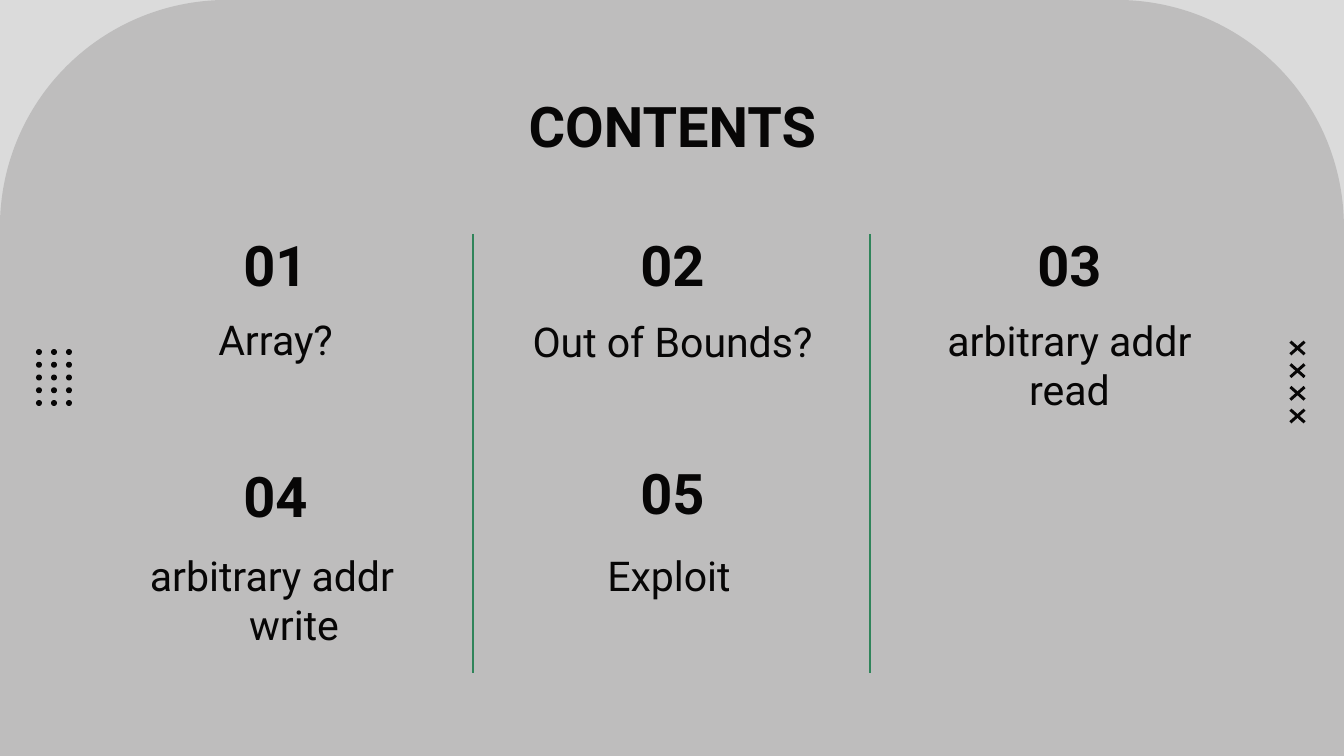
from lxml import etree
from pptx import Presentation
from pptx.dml.color import RGBColor
from pptx.enum.shapes import MSO_CONNECTOR, MSO_SHAPE
from pptx.enum.text import MSO_ANCHOR, PP_ALIGN
from pptx.oxml.ns import qn
from pptx.util import Pt

PX = 914400 / 134.4
WIDTH, HEIGHT = 1344, 756
ROUND_TOP = MSO_SHAPE.ROUND_2_SAME_RECTANGLE
RECTANGLE = MSO_SHAPE.RECTANGLE
OVAL = MSO_SHAPE.OVAL
STRAIGHT = MSO_CONNECTOR.STRAIGHT
CENTER = PP_ALIGN.CENTER
TOP, BOTTOM = MSO_ANCHOR.TOP, MSO_ANCHOR.BOTTOM

FONT = "Roboto"
INK, PANEL, BACKGROUND, GREEN = "070606", "BEBDBD", "DBDBDB", "30845A"

COLUMN_LEFT, COLUMN_WIDTH, COLUMN_PITCH = 106, 339, 397
NUMBER_WIDTH, NUMBER_HEIGHT, TOPIC_HEIGHT = 107, 85, 67
# number, topic, column, number top, topic top, indented
ENTRIES = [
    ("01", "Array?", 0, 226, 310, False),
    ("02", "Out of Bounds?", 1, 226, 312, False),
    ("03", "arbitrary addr read", 2, 226, 360, False),
    ("04", "arbitrary addr write", 0, 457, 595, True),
    ("05", "Exploit", 1, 454, 546, True),
]


def emu(pixels):
    return round(pixels * PX)


def color(hex_string):
    return RGBColor.from_string(hex_string)


def add_filled(slide, kind, left, top, width, height, fill):
    shape = slide.shapes.add_shape(kind, emu(left), emu(top), emu(width), emu(height))
    shape.shadow.inherit = False
    shape.fill.solid()
    shape.fill.fore_color.rgb = color(fill)
    shape.line.fill.background()
    return shape


def add_text(slide, text, left, top, width, height, size, bold=False,
             anchor=BOTTOM, indented=False):
    box = slide.shapes.add_textbox(emu(left), emu(top), emu(width), emu(height))
    frame = box.text_frame
    frame.word_wrap = True
    frame.vertical_anchor = anchor
    frame.margin_left = frame.margin_right = emu(13)
    frame.margin_top = frame.margin_bottom = emu(13)
    paragraph = frame.paragraphs[0]
    paragraph.alignment = CENTER
    if indented:
        properties = paragraph._p.get_or_add_pPr()
        properties.set("marL", str(emu(67)))
        properties.set("indent", str(emu(-44)))
    run = paragraph.add_run()
    run.text = text
    run.font.name = FONT
    run.font.size = Pt(size)
    run.font.bold = bold
    run.font.color.rgb = color(INK)


def add_backdrop(slide):
    slide.background.fill.solid()
    slide.background.fill.fore_color.rgb = color(BACKGROUND)
    panel = add_filled(slide, ROUND_TOP, 0, 0, WIDTH, HEIGHT, PANEL)
    panel.adjustments[0] = 0.3
    panel.adjustments[1] = 0


def add_dots(slide, left, top, width, height, columns=3, rows=5, size=6):
    for column in range(columns):
        for row in range(rows):
            x = left + column * (width - size) / (columns - 1)
            y = top + row * (height - size) / (rows - 1)
            add_filled(slide, OVAL, x, y, size, size, INK)


def add_crosses(slide, left, top, width, height, count=4, stroke=3):
    """Stack crosses whose centres run from the top to the bottom of the box."""
    for index in range(count):
        y = top + index * height / (count - 1) - stroke / 2
        for angle in (41.6, -41.6):
            bar = add_filled(slide, RECTANGLE, left, y, width, stroke, INK)
            bar.rotation = angle


def add_divider(slide, x, top, bottom):
    line = slide.shapes.add_connector(STRAIGHT, emu(x), emu(top), emu(x), emu(bottom))
    line.line.color.rgb = color(GREEN)
    line.line.width = Pt(0.75)
    etree.SubElement(line._element.spPr, qn("a:effectLst"))


def add_entry(slide, number, topic, column, number_top, topic_top, indented):
    left = COLUMN_LEFT + column * COLUMN_PITCH
    number_left = left + (COLUMN_WIDTH - NUMBER_WIDTH) / 2
    add_text(slide, number, number_left, number_top, NUMBER_WIDTH, NUMBER_HEIGHT,
             30, bold=True)
    topic_left = left - 15 if indented else left
    add_text(slide, topic, topic_left, topic_top, COLUMN_WIDTH, TOPIC_HEIGHT,
             22, indented=indented)


def main():
    presentation = Presentation()
    presentation.slide_width = emu(WIDTH)
    presentation.slide_height = emu(HEIGHT)
    slide = presentation.slides.add_slide(presentation.slide_layouts[6])

    add_backdrop(slide)
    add_crosses(slide, 1288, 348, 19, 68)
    add_dots(slide, 36, 349, 36, 57)
    add_text(slide, "CONTENTS", 106, 79, 1133, 85, 30, bold=True, anchor=TOP)
    for entry in ENTRIES:
        add_entry(slide, *entry)
    for gap in range(2):
        add_divider(slide, 473 + gap * COLUMN_PITCH, 234, 673)

    presentation.save("out.pptx")


if __name__ == "__main__":
    main()
